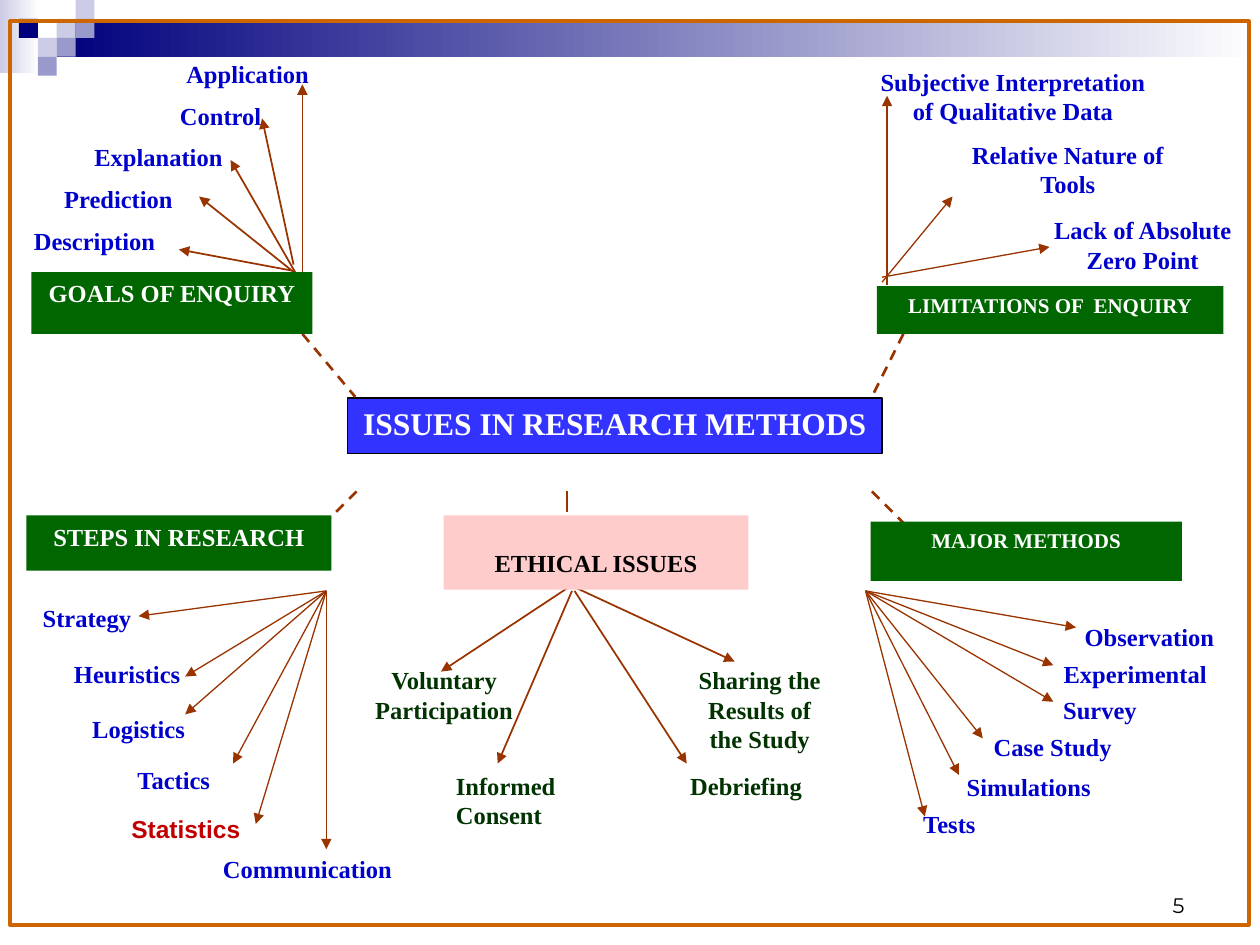
from lxml.etree import SubElement
from pptx import Presentation
from pptx.dml.color import RGBColor as RGB
from pptx.enum.dml import MSO_LINE as Dash
from pptx.enum.shapes import MSO_CONNECTOR as Link, MSO_SHAPE as Shape
from pptx.enum.text import MSO_ANCHOR as Anchor, MSO_AUTO_SIZE as Fit, PP_ALIGN as Align
from pptx.oxml.ns import qn
from pptx.util import Inches, Pt

HUES = {
    "navy": "00007D", "pale": "CCCCE6", "lilac": "9999CC", "white": "FFFFFF",
    "black": "000000", "blue": "0000CC", "title": "3333FF", "green": "006600",
    "dark": "003300", "pink": "FFCCCC", "red": "C00000", "rust": "993300",
    "frame": "CC6600",
}
SERIF = "Times New Roman"
L, C, R = Align.LEFT, Align.CENTER, Align.RIGHT


def hue(name):
    return RGB.from_string(HUES[name])


def write(shape, text, size, color, align=C, font=SERIF, bold=True):
    frame = shape.text_frame
    frame.text = text
    frame.word_wrap = True
    frame.auto_size = Fit.NONE
    frame.vertical_anchor = Anchor.TOP
    frame.margin_left = frame.margin_right = Inches(0.1)
    frame.margin_top = frame.margin_bottom = Inches(0.05)
    for para in frame.paragraphs:
        para.alignment = align
        for run in para.runs:
            run.font.size = Pt(size)
            run.font.name = font
            run.font.bold = bold
            run.font.color.rgb = hue(color)
    return frame


def label(slide, box, text, color, align=C, size=14, **style):
    shape = slide.shapes.add_textbox(*map(Inches, box))
    return write(shape, text, size, color, align, **style)


def block(slide, box, fill=None, fade=None):
    """Add a rectangle with a plain fill, a fade to a second colour, or none."""
    shape = slide.shapes.add_shape(Shape.RECTANGLE, *map(Inches, box))
    shape.shadow.inherit = False
    shape.line.fill.background()
    if fade:
        shape.fill.gradient()
        shape.fill.gradient_angle = 0
        for stop, name in zip(shape.fill.gradient_stops, (fill, fade)):
            stop.color.rgb = hue(name)
    elif fill:
        shape.fill.solid()
        shape.fill.fore_color.rgb = hue(fill)
    else:
        shape.fill.background()
    return shape


def link(slide, start, end, width, arrow=False, dash=False):
    line = slide.shapes.add_connector(Link.STRAIGHT, *map(Inches, (*start, *end)))
    line.line.color.rgb = hue("rust")
    line.line.width = Pt(width)
    if dash:
        line.line.dash_style = Dash.DASH
    if arrow:
        SubElement(line.line._get_or_add_ln(), qn("a:tailEnd"), type="triangle")
    SubElement(line._element.spPr, qn("a:effectLst"))


def banner(slide, left, top):
    """Draw the fading bar and its chequered corner."""
    block(slide, (left, top, 0.31, 0.58), "pale", "white")
    block(slide, (left + 0.45, top + 0.15, 9.55, 0.3), "navy", "white")
    side = 0.15
    tiles = [(3, 1, "pale"), (4, 0, "pale"), (4, 1, "lilac"), (2, 2, "pale"),
             (1, 1, "navy"), (3, 2, "lilac"), (2, 3, "lilac")]
    for col, row, name in tiles:
        block(slide, (left + col * side, top + row * side, side, side), name)


def fan(slide, box, head, starts, tips, labels=(), size=14, fill="green",
        ink="white", tone="blue", width=0.75):
    """Draw a headed box with arrows and labels, all offset from its corner."""
    left, top = box[:2]
    for text, x, y, wide, align in labels:
        label(slide, (left + x, top + y, wide, 0.3), text, tone, align)
    if len(starts) == 1:
        starts = starts * len(tips)
    for start, tip in zip(starts, tips):
        ends = [(left + x, top + y) for x, y in (start, tip)]
        link(slide, *ends, width, arrow=True)
    return write(block(slide, box, fill), head, size, ink)


def goals(slide, box):
    left, top = box[:2]
    steps = [("Application", 1.21), ("Control", 1.16), ("Explanation", 0.48),
             ("Prediction", 0.24), ("Description", 0)]
    frame = label(slide, (left - 0.08, top - 1.74, 2.89, 1.99),
                  "\n".join(name for name, _ in steps), "blue", L)
    for para, (_, indent) in zip(frame.paragraphs, steps):
        para.space_before = para.space_after = Pt(3.5)
        para._p.get_or_add_pPr().set("marL", str(Inches(indent)))
    fan(slide, box, "GOALS OF ENQUIRY",
        [(2.15, 0.09), (2.08, -0.06), (2.11, 0.03), (2.17, 0.07), (2.08, -0.01)],
        [(2.15, -1.49), (1.83, -1.22), (1.58, -0.89), (1.33, -0.6), (1.17, -0.18)],
        width=1)


def limits(slide, box):
    fan(slide, box, "LIMITATIONS OF  ENQUIRY",
        [(0.08, -0.01), (0.04, -0.03), (0.04, -0.07)],
        [(0.08, -1.51), (0.6, -0.71), (1.37, -0.31)],
        [("Subjective Interpretation of Qualitative Data", -0.13, -1.79, 2.42, C),
         ("Relative Nature of Tools", 0.49, -1.21, 2.05, C),
         ("Lack of Absolute Zero Point", 1.18, -0.61, 1.86, C)], size=12)


def steps(slide, box):
    left, top = box[:2]
    fan(slide, box, "STEPS IN RESEARCH", [(2.38, 0.6)],
        [(0.89, 0.8), (1.26, 1.28), (1.26, 1.58), (1.64, 1.97), (1.82, 2.45),
         (2.38, 2.65)],
        [("Strategy", 0.03, 0.65, 1.18, L),
         ("Heuristics", 0.15, 1.09, 1.3, C),
         ("Logistics", 0.33, 1.53, 1.12, C),
         ("Tactics", 0.52, 1.93, 1.3, C),
         ("Communication", 1.46, 2.64, 1.68, L)])
    label(slide, (left + 0.52, top + 2.32, 1.49, 0.3), "Statistics", "red",
          font="Arial")


def ethics(slide, box):
    frame = fan(
        slide, box, "ETHICAL ISSUES",
        [(0.98, 0.58), (1.02, 0.6), (1.04, 0.6), (1.06, 0.58)],
        [(-0.02, 1.24), (0.43, 1.97), (1.93, 1.97), (2.31, 1.16)],
        [("Voluntary Participation", -0.74, 1.14, 1.49, C),
         ("Sharing the Results of the Study", 1.86, 1.14, 1.3, C),
         ("Informed Consent", 0, 1.98, 1.2, L),
         ("Debriefing", 1.86, 1.98, 1.2, L)],
        fill="pink", ink="black", tone="dark", width=1)
    frame.margin_top = Inches(0.26)


def methods(slide, box):
    fan(slide, box, "MAJOR METHODS", [(-0.04, 0.55)],
        [(1.63, 0.84), (1.45, 1.14), (1.45, 1.43), (0.89, 1.72), (0.7, 2.01),
         (0.43, 2.34)],
        [("Observation", 1.6, 0.75, 1.49, L),
         ("Experimental", 1.26, 1.04, 1.68, C),
         ("Survey", 1.26, 1.33, 1.12, C),
         ("Case Study", 0.7, 1.62, 1.49, C),
         ("Simulations", 0.42, 1.94, 1.67, C),
         ("Tests", -0.49, 2.23, 2.23, C)], size=12)


def center(slide, box):
    """Place the title and the spokes that lead from it to each topic."""
    title = slide.shapes.title
    title.left, title.top, title.width, title.height = map(Inches, box)
    title.fill.solid()
    title.fill.fore_color.rgb = hue("title")
    title.line.color.rgb = hue("black")
    title.line.width = Pt(0.75)
    write(title, "ISSUES IN RESEARCH METHODS", 18, "white")
    left, top = box[:2]
    spokes = [(-0.36, -0.51, 0.06, -0.01), (4.41, -0.51, 4.16, -0.01),
              (4.16, 0.74, 4.41, 0.99), (0.07, 0.74, -0.18, 0.99),
              (1.74, 0.74, 1.74, 0.9)]
    for x, y, end, low in spokes:
        link(slide, (left + x, top + y), (left + end, top + low), 1.5, dash=x != end)


def border(slide, box):
    frame = block(slide, box)
    frame.line.color.rgb = hue("frame")
    frame.line.width = Pt(2.25)
    left, top, wide, high = box
    page = label(slide, (left + wide - 2.74, top + high - 0.51, 2.33, 0.5), "5",
                 "black", R, 12, font="Montserrat", bold=False)
    page.vertical_anchor = Anchor.BOTTOM


def main():
    deck = Presentation()
    deck.slide_width, deck.slide_height = Inches(10), Inches(7.5)
    slide = deck.slides.add_slide(deck.slide_layouts[5])
    banner(slide, 0, 0)
    center(slide, (2.76, 3.16, 4.24, 0.44))
    goals(slide, (0.25, 2.16, 2.23, 0.49))
    limits(slide, (6.96, 2.27, 2.75, 0.38))
    steps(slide, (0.21, 4.09, 2.42, 0.44))
    ethics(slide, (3.52, 4.09, 2.42, 0.59))
    methods(slide, (6.91, 4.14, 2.47, 0.47))
    border(slide, (0.08, 0.17, 9.83, 7.17))
    deck.save("out.pptx")


if __name__ == "__main__":
    main()
